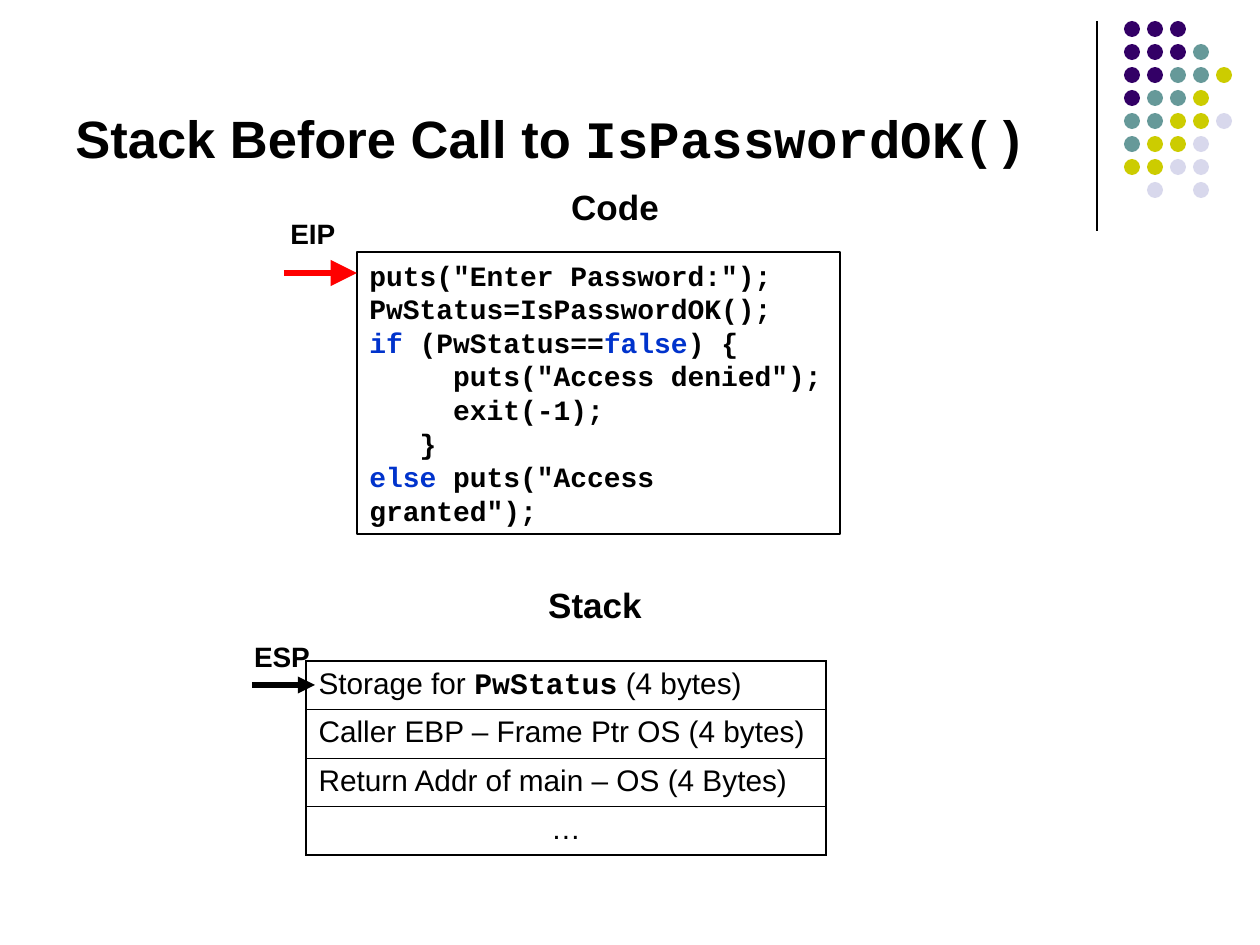
from pptx import Presentation, util as u
from pptx.dml.color import RGBColor
from pptx.enum import shapes, text
from pptx.oxml.xmlchemy import OxmlElement

PX = 914400 // 126
BLACK = RGBColor(0, 0, 0)
RED = RGBColor(0xFF, 0, 0)
BLUE = RGBColor(0, 0x33, 0xCC)
SANS, MONO = "Arial", "Courier New"

# Content: each line is a list of (text, format changes)
KEY = {"color": BLUE}
TITLE = [("Stack Before Call to ", {}), ("IsPasswordOK()", {"name": MONO})]
CODE = [
    [('puts("Enter Password:");', {})],
    [("PwStatus=IsPasswordOK();", {})],
    [("if", KEY), (" (PwStatus==", {}), ("false", KEY), (") {", {})],
    [('     puts("Access denied");', {})],
    [("     exit(-1);", {})],
    [("   }", {})],
    [("else", KEY), (' puts("Access granted");', {})],
]
STACK = [
    [("Storage for ", {}), ("PwStatus", {"name": MONO, "bold": True}), (" (4 bytes)", {})],
    [("Caller EBP – Frame Ptr OS (4 bytes)", {})],
    [("Return Addr of main – OS (4 Bytes)", {})],
    [("…", {})],
]
LABELS = [  # text, size, box in px
    ("Stack", 20, (530, 577, 130, 55)),
    ("ESP", 16, (237, 633, 90, 46)),
    ("Code", 20, (550, 179, 130, 55)),
    ("EIP", 16, (268, 210, 90, 46)),
]
LINES = [  # start, end, colour, points, arrowhead size
    ((1097, 21), (1097, 231), BLACK, 0.75, None),
    ((284, 273), (357, 273), RED, 3, "lg"),
    ((252, 685), (315, 685), BLACK, 3.25, "med"),
]
DOTS = ["PPP", "PPPT", "PPTTY", "PTTY", "TTYYL", "TYYL", "YYLL", " L L"]
HUES = {"P": RGBColor(0x33, 0, 0x66), "T": RGBColor(0x66, 0x99, 0x99),
        "Y": RGBColor(0xCC, 0xCC, 0), "L": RGBColor(0xD8, 0xD8, 0xEC)}

prs = Presentation()
prs.slide_width, prs.slide_height = u.Inches(10), u.Inches(7.5)
slide = prs.slides.add_slide(prs.slide_layouts[6])
parts = slide.shapes


def px(*nums):
    return [n * PX for n in nums]


def write(frame, lines, size, name=SANS, bold=True, align=text.PP_ALIGN.LEFT):
    for i, line in enumerate(lines):
        para = frame.paragraphs[0] if i == 0 else frame.add_paragraph()
        para.alignment = align
        for words, extra in line:
            run = para.add_run()
            run.text = words
            look = {"size": u.Pt(size), "name": name, "bold": bold, "color": BLACK, **extra}
            run.font.color.rgb = look.pop("color")
            for key, val in look.items():
                setattr(run.font, key, val)


def label(box, line, size, wrap, anchor, align):
    frame = parts.add_textbox(*px(*box)).text_frame
    frame.word_wrap, frame.vertical_anchor = wrap, anchor
    write(frame, [line], size, align=align)


def edge(cell, tag, pts):
    line = OxmlElement("a:" + tag)
    line.set("w", str(u.Pt(pts)))
    fill = OxmlElement("a:solidFill")
    hue = OxmlElement("a:srgbClr")
    hue.set("val", str(BLACK))
    fill.append(hue)
    line.append(fill)
    cell._tc.get_or_add_tcPr().append(line)


# Corner dots
for row, marks in enumerate(DOTS):
    for col, mark in enumerate(marks):
        if mark in HUES:
            dot = parts.add_shape(shapes.MSO_SHAPE.OVAL,
                                  *px(1124 + 23 * col, 21 + 23 * row, 16, 16))
            dot.shadow.inherit = False
            dot.fill.solid()
            dot.fill.fore_color.rgb = HUES[mark]
            dot.line.fill.background()

# Title
label((63, 16, 1040, 159), TITLE, 30, True, text.MSO_ANCHOR.BOTTOM, text.PP_ALIGN.LEFT)

# Stack table
table = parts.add_table(len(STACK), 1, *px(306, 661, 520, 48 * len(STACK))).table
table.first_row = table.horz_banding = False
for i, line in enumerate(STACK):
    last = i == len(STACK) - 1
    table.rows[i].height = 48 * PX + PX // 2
    cell = table.cell(i, 0)
    for tag, pts in (("lnL", 1.08), ("lnR", 1.08), ("lnT", 0.45 if i else 1.08),
                     ("lnB", 1.08 if last else 0.45)):
        edge(cell, tag, pts)
    cell.fill.background()
    write(cell.text_frame, [line], 17, bold=False,
          align=text.PP_ALIGN.CENTER if last else text.PP_ALIGN.LEFT)

# Code box
code = parts.add_shape(shapes.MSO_SHAPE.RECTANGLE, *px(357, 252, 483, 282))
code.shadow.inherit = False
code.fill.background()
code.line.color.rgb, code.line.width = BLACK, u.Pt(1)
code.text_frame.word_wrap = True
code.text_frame.vertical_anchor = text.MSO_ANCHOR.TOP
write(code.text_frame, CODE, 16, MONO)

# Divider and pointer arrows
for start, end, hue, pts, tip in LINES:
    link = parts.add_connector(shapes.MSO_CONNECTOR.STRAIGHT, *px(*start, *end))
    link.line.color.rgb, link.line.width = hue, u.Pt(pts)
    if tip:
        head = OxmlElement("a:tailEnd")
        for key, val in {"type": "triangle", "w": tip, "len": tip}.items():
            head.set(key, val)
        link.line._get_or_add_ln().append(head)
    link._element.spPr.append(OxmlElement("a:effectLst"))

# Headings and register names
for words, size, box in LABELS:
    label(box, [(words, {})], size, False, text.MSO_ANCHOR.TOP, text.PP_ALIGN.CENTER)

prs.save("out.pptx")
